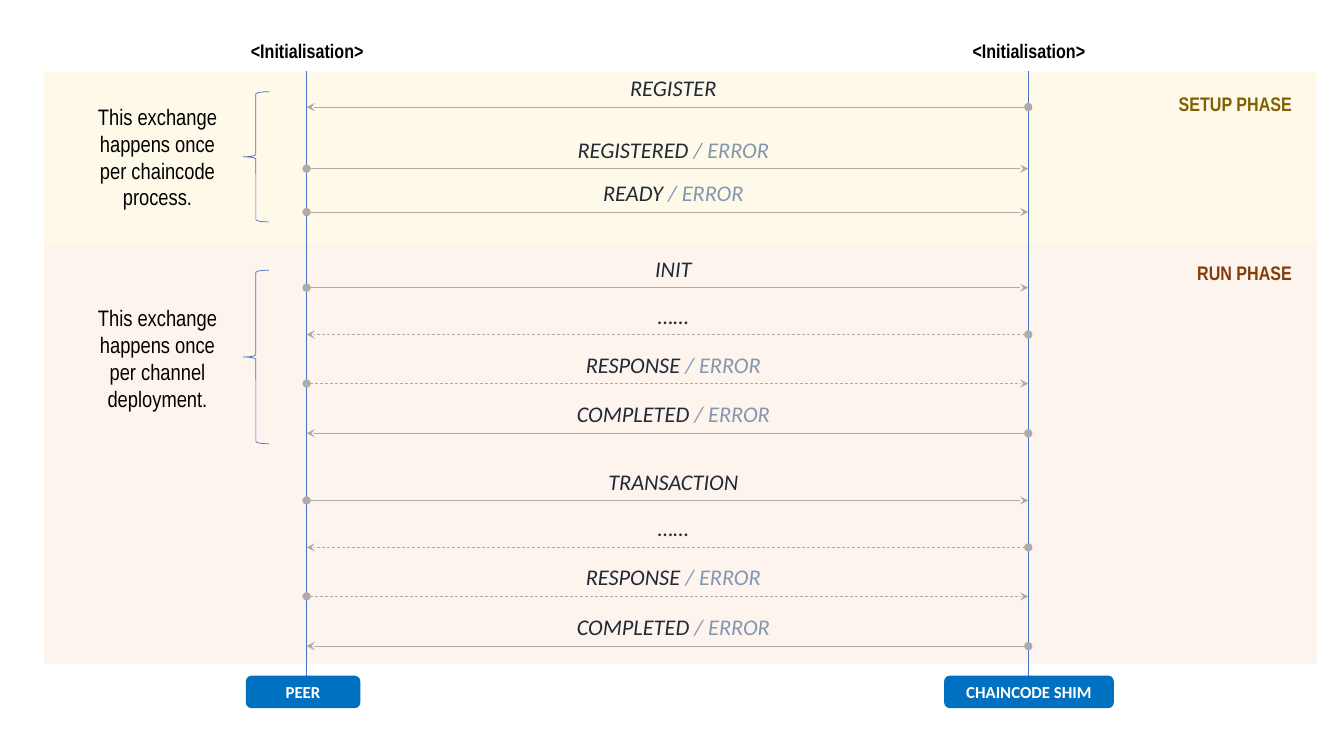
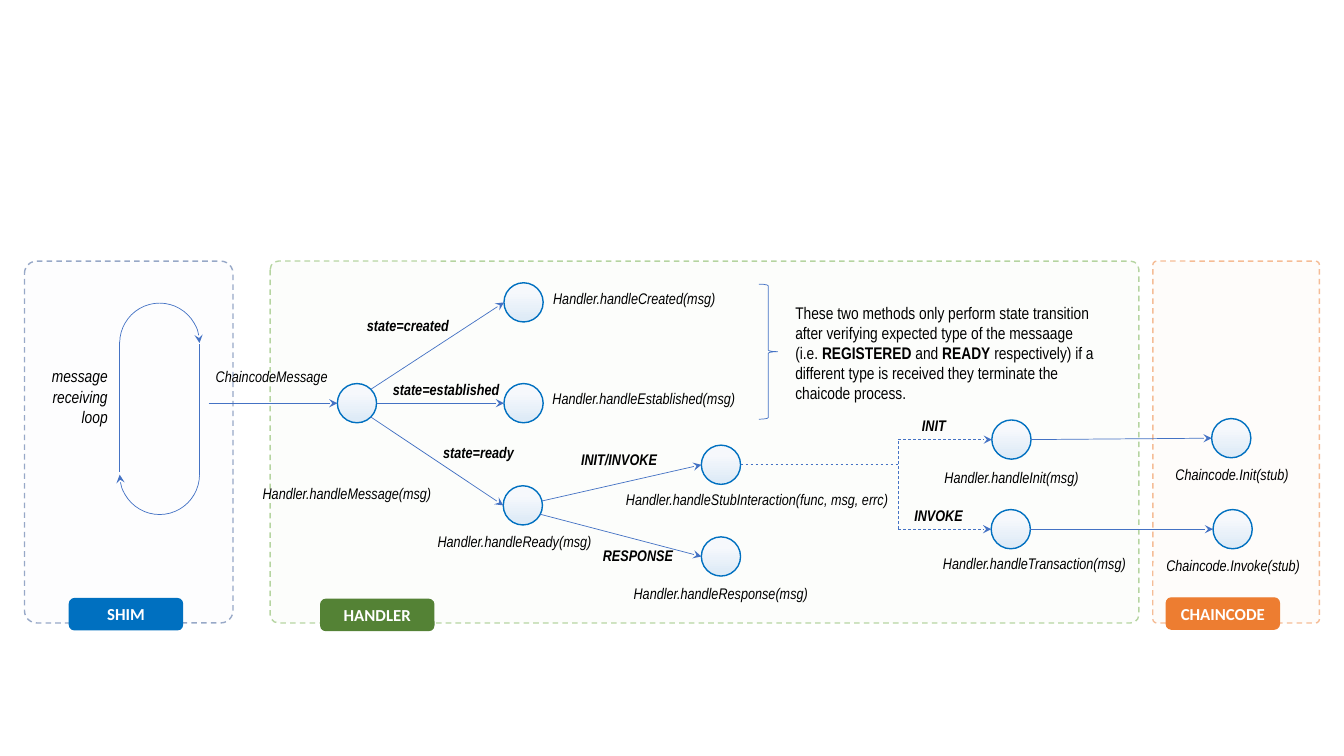
import math

import pptx
import pptx.dml.color
import pptx.enum.dml
import pptx.enum.shapes
import pptx.enum.text
import pptx.oxml.ns
import pptx.oxml.xmlchemy
import pptx.util

Pt = pptx.util.Pt
SHAPE = pptx.enum.shapes.MSO_SHAPE
ALIGN = pptx.enum.text.PP_ALIGN
DASH = pptx.enum.dml.MSO_LINE.DASH

COLORS = {
    "black": "000000", "white": "FFFFFF", "blue": "0070C0", "line": "4472C4",
    "arrow": "AFABAB", "message": "222A35", "error": "8497B0",
    "setup band": "FFF2CC", "setup text": "806000",
    "run band": "FBE5D6", "run text": "843C0B",
    "shim fill": "DEEBF7", "shim line": "325491",
    "handler fill": "C5E0B4", "handler line": "70AD47", "handler badge": "548235",
    "chaincode fill": "F8CBAD", "orange": "ED7D31",
    "node top": "F6F8FC", "node bottom": "DEEBF7",
}
NARROW = {"name": "Arial Narrow", "size": Pt(11), "color": "black"}
LABEL = {**NARROW, "italic": True}
CONDITION = {**LABEL, "bold": True}
HEADING = {**NARROW, "size": Pt(14), "bold": True}
NOTE = {**NARROW, "size": Pt(16)}
BODY = {**NARROW, "size": Pt(12)}
BADGE = {"name": "Calibri", "size": Pt(12), "bold": True, "color": "white"}
MESSAGE = {"name": "Calibri", "size": Pt(16), "italic": True, "color": "message"}

PEER_X, SHIM_X = 219, 734.5
LABEL_X = 481
NODE_RADIUS = 14
PANEL_TOP, PANEL_HEIGHT = 186.5, 258.5


def rgb(color):
    return pptx.dml.color.RGBColor.from_string(COLORS[color])


def add_child(parent, tag, **attributes):
    child = pptx.oxml.xmlchemy.OxmlElement(tag)
    for name, value in attributes.items():
        child.set(name, value)
    parent.append(child)


def set_opacity(color_format_parent, percent):
    """Make the first solid colour below the given XML element translucent."""
    color = next(color_format_parent.iter(pptx.oxml.ns.qn("a:srgbClr")))
    add_child(color, "a:alpha", val=str(percent * 1000))


def line_element(shape):
    return next(shape._element.iter(pptx.oxml.ns.qn("a:ln")))


def set_line(shape, color, width=0.5, dash=None):
    shape.line.color.rgb = rgb(color)
    shape.line.width = Pt(width)
    if dash:
        shape.line.dash_style = dash


def write(frame, spans, style, align):
    """Fill the first paragraph with (text, format overrides) spans."""
    para = frame.paragraphs[0]
    para.alignment = align
    for text, changes in spans:
        span = para.add_run()
        span.text = text
        for name, value in {**style, **changes}.items():
            if name == "color":
                span.font.color.rgb = rgb(value)
            else:
                setattr(span.font, name, value)


def add_text(slide, text, box, style, align=ALIGN.LEFT, wrap=False):
    """Add a text box; text is a string or a list of spans."""
    frame = slide.shapes.add_textbox(*map(Pt, box)).text_frame
    frame.word_wrap = wrap
    frame.auto_size = pptx.enum.text.MSO_AUTO_SIZE.SHAPE_TO_FIT_TEXT
    write(frame, [(text, {})] if isinstance(text, str) else text, style, align)


def add_shape(slide, kind, box, fill=None, opacity=None):
    shape = slide.shapes.add_shape(kind, *map(Pt, box))
    shape.shadow.inherit = False
    if fill:
        shape.fill.solid()
        shape.fill.fore_color.rgb = rgb(fill)
    else:
        shape.fill.background()
    if opacity:
        set_opacity(shape._element.spPr, opacity)
    return shape


def add_band(slide, box, fill):
    add_shape(slide, SHAPE.RECTANGLE, box, fill, 40).line.fill.background()


def add_brace(slide, kind, box):
    set_line(add_shape(slide, kind, box), "line")


def add_badge(slide, text, left, top, color, width=81):
    badge = add_shape(slide, SHAPE.ROUNDED_RECTANGLE, (left, top, width, 22.5), color)
    set_line(badge, color, 0.75)
    frame = badge.text_frame
    frame.margin_top = frame.margin_bottom = Pt(3)
    frame.vertical_anchor = pptx.enum.text.MSO_ANCHOR.MIDDLE
    write(frame, [(text, {})], BADGE, ALIGN.CENTER)


def add_panel(slide, left, width, rounding, fill, line):
    box = left, PANEL_TOP, width, PANEL_HEIGHT
    panel = add_shape(slide, SHAPE.ROUNDED_RECTANGLE, box, fill, 5)
    panel.adjustments[0] = rounding
    set_line(panel, line, 1, DASH)
    set_opacity(line_element(panel), 50)


def add_line(slide, start, end, color="line", dash=None, head=None, tail=None):
    line = slide.shapes.add_connector(
        pptx.enum.shapes.MSO_CONNECTOR.STRAIGHT, *map(Pt, (*start, *end)))
    set_line(line, color, dash=dash)
    for tag, kind in (("a:headEnd", head), ("a:tailEnd", tail)):
        if kind:
            add_child(line_element(line), tag, type=kind)
    add_child(line._element.spPr, "a:effectLst")


def add_loop_arc(slide, top, rotation):
    arc = add_shape(slide, SHAPE.ARC, (85.5, top, 57, 57))
    arc.adjustments[0], arc.adjustments[1] = 108.56, 0
    arc.rotation = rotation
    set_line(arc, "line")
    add_child(line_element(arc), "a:tailEnd", type="stealth")


def add_node(slide, center):
    x, y = center
    size = 2 * NODE_RADIUS
    node = add_shape(slide, SHAPE.OVAL, (x - NODE_RADIUS, y - NODE_RADIUS, size, size))
    node.fill.gradient()
    node.fill.gradient_angle = 270
    stops = (0.24, "node top"), (0.92, "node bottom")
    for stop, (position, color) in zip(node.fill.gradient_stops, stops):
        stop.position = position
        stop.color.rgb = rgb(color)
    set_line(node, "blue", 1)


def add_edge(slide, source, target, degrees):
    """Draw an arrow leaving source at an angle and ending left of target."""
    angle = math.radians(degrees)
    start = (source[0] + NODE_RADIUS * math.cos(angle),
             source[1] + NODE_RADIUS * math.sin(angle))
    add_line(slide, start, (target[0] - NODE_RADIUS, target[1]), tail="stealth")


def add_message(slide, y, name, to_peer, may_fail=False, dash=None):
    ends = (SHIM_X, PEER_X) if to_peer else (PEER_X, SHIM_X)
    add_line(slide, (ends[0], y), (ends[1], y), "arrow", dash, "oval", "stealth")
    spans = [(name, {})]
    if may_fail:
        spans = [(name + " ", {}), ("/ ERROR", {"color": "error"})]
    add_text(slide, spans, (LABEL_X - 80, y - 27, 160, 26.5), MESSAGE, ALIGN.CENTER)


def build_sequence(slide):
    add_band(slide, (31.5, 173.5, 909, 301), "run band")
    add_band(slide, (31.5, 51, 909, 123), "setup band")
    for x, name, width in ((PEER_X, "PEER", 81), (SHIM_X, "CHAINCODE SHIM", 120.5)):
        add_line(slide, (x, 51), (x, 483))
        add_badge(slide, name, x + 0.5 - width / 2 - (3 if name == "PEER" else 0),
                  483, "blue", width)
        add_text(slide, "<Initialisation>", (x - 47.5, 24.5, 96, 24.5),
                 HEADING, ALIGN.CENTER)

    add_message(slide, 76.5, "REGISTER", True)
    add_message(slide, 120.5, "REGISTERED", False, True)
    add_message(slide, 151.5, "READY", False, True)
    for top, request in ((205.5, "INIT"), (357.5, "TRANSACTION")):
        add_message(slide, top, request, False)
        add_message(slide, top + 33.5, "……", True, dash=DASH)
        add_message(slide, top + 68.5, "RESPONSE", False, True, DASH)
        add_message(slide, top + 104, "COMPLETED", True, True)

    notes = ((65.5, 93, 70, "process"), (193, 124, 214, "channel"))
    for brace_top, height, text_top, scope in notes:
        add_brace(slide, SHAPE.LEFT_BRACE, (173.5, brace_top, 18.5, height))
        unit = "chaincode process" if scope == "process" else "channel deployment"
        add_text(slide, f"This exchange happens once per {unit}.",
                 (62, text_top, 101, 85), NOTE, ALIGN.CENTER, True)
    for phase, top in (("setup", 62), ("run", 182.5)):
        add_text(slide, f"{phase.upper()} PHASE", (834, top, 96, 24.5),
                 {**HEADING, "color": f"{phase} text"}, ALIGN.RIGHT)


def build_handler_flow(slide):
    add_panel(slide, 17.5, 149, 0.059, "shim fill", "shim line")
    add_panel(slide, 193, 620.5, 0.023, "handler fill", "handler line")
    add_panel(slide, 823.5, 119, 0.023, "chaincode fill", "orange")
    add_badge(slide, "SHIM", 49.5, 427.5, "blue")
    add_badge(slide, "HANDLER", 229, 428, "handler badge")
    add_badge(slide, "CHAINCODE", 833, 427, "orange")

    add_loop_arc(slide, 216.5, 0)
    add_loop_arc(slide, 310.5, 180)
    add_line(slide, (85.5, 244), (85.5, 337))
    add_line(slide, (142.5, 246), (142.5, 339))
    add_text(slide, "message receiving loop", (17, 258, 67, 51),
             {**LABEL, "size": Pt(12)}, ALIGN.RIGHT, True)

    nodes = {
        "message": (255, 288), "created": (374, 216), "established": (374, 288),
        "ready": (373.5, 361), "stub": (515, 332), "response": (515, 397.5),
        "init": (722.5, 314), "transaction": (722, 378),
        "chaincode init": (879.5, 313), "chaincode invoke": (880.5, 378),
    }
    for center in nodes.values():
        add_node(slide, center)
    edges = (
        ("message", "created", -45), ("message", "established", 0),
        ("message", "ready", 45), ("ready", "stub", -13), ("ready", "response", 27),
        ("init", "chaincode init", 0), ("transaction", "chaincode invoke", 0),
    )
    for source, target, degrees in edges:
        add_edge(slide, nodes[source], nodes[target], degrees)
    add_line(slide, (149, 288), (241, 288), tail="stealth")

    fork_x = 641.5
    stub_x, stub_y = nodes["stub"]
    add_line(slide, (stub_x + NODE_RADIUS, stub_y), (fork_x, stub_y), dash=DASH)
    branches = [nodes["init"], nodes["transaction"]]
    add_line(slide, (fork_x, branches[1][1]), (fork_x, branches[0][1]), dash=DASH)
    for x, y in branches:
        add_line(slide, (fork_x, y), (x - NODE_RADIUS, y), dash=DASH, tail="stealth")

    labels = (
        ("ChaincodeMessage", 147, 259, 95),
        ("Handler.handleMessage(msg)", 180.5, 342, 136),
        ("Handler.handleReady(msg)", 305.5, 376.5, 125),
        ("Handler.handleEstablished(msg)", 387.5, 274.5, 146),
        ("Handler.handleCreated(msg)", 388, 203, 132),
        ("Handler.handleStubInteraction(func, msg, errc)", 440, 346.5, 203),
        ("Handler.handleResponse(msg)", 445.5, 413.5, 142.5),
        ("Handler.handleInit(msg)", 667.5, 330.5, 111.5),
        ("Handler.handleTransaction(msg)", 666.5, 392.5, 147),
        ("Chaincode.Invoke(stub)", 826, 394, 110),
        ("Chaincode.Init(stub)", 832.5, 328.5, 96),
    )
    conditions = (
        ("state=created", 255, 222, 73.5),
        ("state=established", 273.5, 268, 90.5),
        ("state=ready", 309.5, 313, 65.5),
        ("INIT/INVOKE", 408, 318, 69),
        ("RESPONSE", 423.5, 386.5, 65),
        ("INIT", 651.5, 294, 31.5),
        ("INVOKE", 646, 358, 49.5),
    )
    for style, entries in ((LABEL, labels), (CONDITION, conditions)):
        for text, left, top, width in entries:
            add_text(slide, text, (left, top, width, 20.5), style)

    add_brace(slide, SHAPE.RIGHT_BRACE, (542, 203, 13.5, 96.5))
    bold = {"bold": True}
    explanation = [
        ("These two methods only perform state transition after verifying "
         "expected type of the messaage (i.e. ", {}),
        ("REGISTERED", bold), (" and ", {}), ("READY", bold),
        (" respectively) if a different type is received they terminate "
         "the chaicode process.", {}),
    ]
    add_text(slide, explanation, (561, 212.5, 230.5, 80), BODY, wrap=True)


def main():
    deck = pptx.Presentation()
    deck.slide_width, deck.slide_height = Pt(960), Pt(540)
    blank = deck.slide_layouts[6]
    for build in (build_sequence, build_handler_flow):
        build(deck.slides.add_slide(blank))
    deck.save("out.pptx")


if __name__ == "__main__":
    main()
